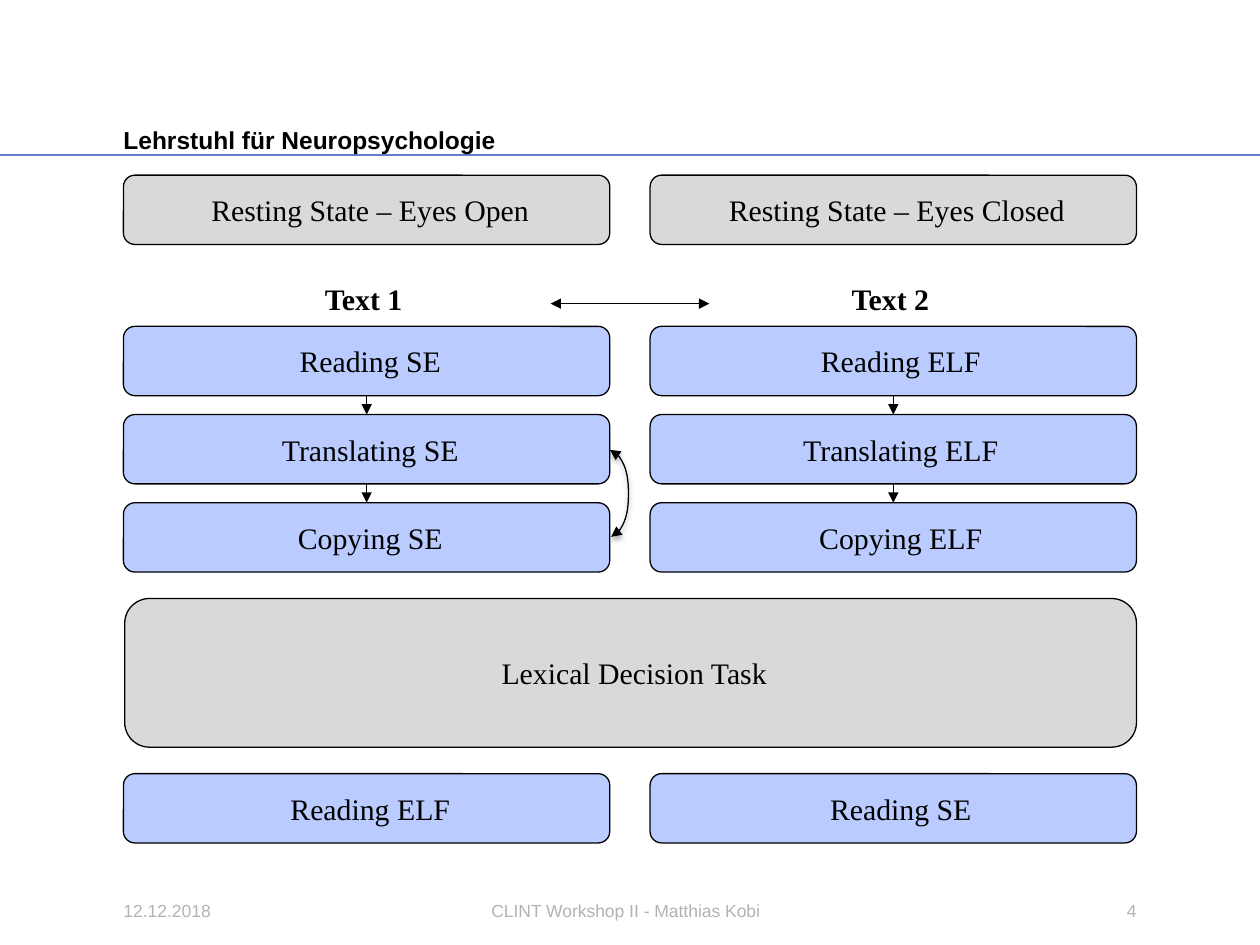
import pptx
import pptx.util
import pptx.dml.color
import pptx.enum.shapes
import pptx.enum.text
import pptx.oxml
import pptx.oxml.ns
import lxml.etree

Inches, Pt = pptx.util.Inches, pptx.util.Pt
ALIGN = pptx.enum.text.PP_ALIGN
CONNECTOR = pptx.enum.shapes.MSO_CONNECTOR

# Content
HEADER = "Lehrstuhl für Neuropsychologie"
FOOTER = [  # text, left, width, alignment
    ("12.12.2018", 0.98, 1.02, ALIGN.LEFT),
    ("CLINT Workshop II - Matthias Kobi", 2.09, 5.75, ALIGN.CENTER),
    ("4", 8.15, 0.87, ALIGN.RIGHT),
]
GRAY, BLUE, BLACK = "D9D9D9", "BACBFF", "000000"
ROWS = [  # top, fill, left text, right text
    (1.39, GRAY, "Resting State – Eyes Open", "Resting State – Eyes Closed"),
    (2.59, BLUE, "Reading SE", "Reading ELF"),
    (3.29, BLUE, "Translating SE", "Translating ELF"),
    (3.99, BLUE, "Copying SE", "Copying ELF"),
    (6.14, BLUE, "Reading ELF", "Reading SE"),
]
COLUMNS = [(0.98, "Text 1"), (5.16, "Text 2")]
BOX_WIDTH, BOX_HEIGHT = 3.86, 0.55
SERIF, SANS = "Times New Roman", "Arial"

presentation = pptx.Presentation()
presentation.slide_width, presentation.slide_height = Inches(10), Inches(7.5)
slide = presentation.slides.add_slide(presentation.slide_layouts[6])


def color(value):
    return pptx.dml.color.RGBColor.from_string(value)


def write(shape, text, size, font, text_color=BLACK, bold=False,
          align=ALIGN.LEFT, insets=(0, 0, 0, 0), wrap=True):
    frame = shape.text_frame
    frame.word_wrap = wrap
    (frame.margin_left, frame.margin_top,
     frame.margin_right, frame.margin_bottom) = [Inches(inset) for inset in insets]
    paragraph = frame.paragraphs[0]
    paragraph.alignment = align
    run = paragraph.add_run()
    run.text = text
    run.font.size, run.font.name, run.font.bold = Pt(size), font, bold
    run.font.color.rgb = color(text_color)


def add_text(left, top, width, height, *content, **style):
    shape = slide.shapes.add_textbox(
        Inches(left), Inches(top), Inches(width), Inches(height))
    write(shape, *content, **style)


def add_box(left, top, width, height, fill, text, inset=0.06):
    shape = slide.shapes.add_shape(
        pptx.enum.shapes.MSO_SHAPE.ROUNDED_RECTANGLE,
        Inches(left), Inches(top), Inches(width), Inches(height))
    shape.shadow.inherit = False
    shape.fill.solid()
    shape.fill.fore_color.rgb = color(fill)
    shape.line.color.rgb = color(BLACK)
    shape.line.width = Pt(0.75)
    shape.text_frame.vertical_anchor = pptx.enum.text.MSO_ANCHOR.MIDDLE
    write(shape, text, 17, SERIF, align=ALIGN.CENTER, insets=(inset, 0, 0, 0))


def add_line(start, end, ends=(), kind=CONNECTOR.STRAIGHT, line_color=BLACK, width=0.75):
    line = slide.shapes.add_connector(
        kind, *[Inches(value) for value in (*start, *end)])
    line.line.color.rgb = color(line_color)
    line.line.width = Pt(width)
    outline = line.line._get_or_add_ln()
    for name in ends:
        lxml.etree.SubElement(outline, pptx.oxml.ns.qn("a:" + name), type="triangle")
    properties = line._element.spPr
    lxml.etree.SubElement(properties, pptx.oxml.ns.qn("a:effectLst"))
    return properties


# Header and footer
add_line((0, 1.23), (10, 1.23), line_color="667EC9", width=1.25)
add_text(0.98, 0.95, 8.03, 0.25, HEADER, 14, SANS, bold=True, insets=(0, 0.04, 0, 0))
for text, left, width, align in FOOTER:
    add_text(left, 7.14, width, 0.24, text, 10, SANS, "B3B3B3", align=align)

# Curved double arrow between translating and copying
curve = add_line((4.84, 3.57), (4.85, 4.26), ("headEnd", "tailEnd"), CONNECTOR.CURVE)
geometry = curve.find(pptx.oxml.ns.qn("a:prstGeom"))
adjustments = geometry.find(pptx.oxml.ns.qn("a:avLst"))
if adjustments is None:
    adjustments = lxml.etree.SubElement(geometry, pptx.oxml.ns.qn("a:avLst"))
lxml.etree.SubElement(adjustments, pptx.oxml.ns.qn("a:gd"),
                      name="adj1", fmla="val 1500000")
curve.find(pptx.oxml.ns.qn("a:effectLst")).append(pptx.oxml.parse_xml(
    '<a:outerShdw %s blurRad="39370" dist="22860" dir="5400000" rotWithShape="0">'
    '<a:srgbClr val="000000"><a:alpha val="35000"/></a:srgbClr></a:outerShdw>'
    % pptx.oxml.ns.nsdecls("a")))

# Two columns of tasks with their headings and down arrows
for column, (left, heading) in enumerate(COLUMNS):
    center = left + BOX_WIDTH / 2
    for top, fill, *texts in ROWS:
        inset = 0.12 if column and fill == BLUE else 0.06
        add_box(left, top, BOX_WIDTH, BOX_HEIGHT, fill, texts[column], inset)
    for upper, lower in zip(ROWS[1:3], ROWS[2:4]):
        add_line((center, upper[0] + BOX_HEIGHT), (center, lower[0]), ("tailEnd",))
    add_text(center - 0.43, 2.18, 0.82, 0.39, heading, 17, SERIF, bold=True,
             insets=(0.1, 0.05, 0.1, 0.05), wrap=False)

# Shared task and swap arrow between the texts
add_box(0.99, 4.75, 8.03, 1.18, GRAY, "Lexical Decision Task")
add_line((4.37, 2.41), (5.63, 2.41), ("headEnd", "tailEnd"))

presentation.save("out.pptx")
